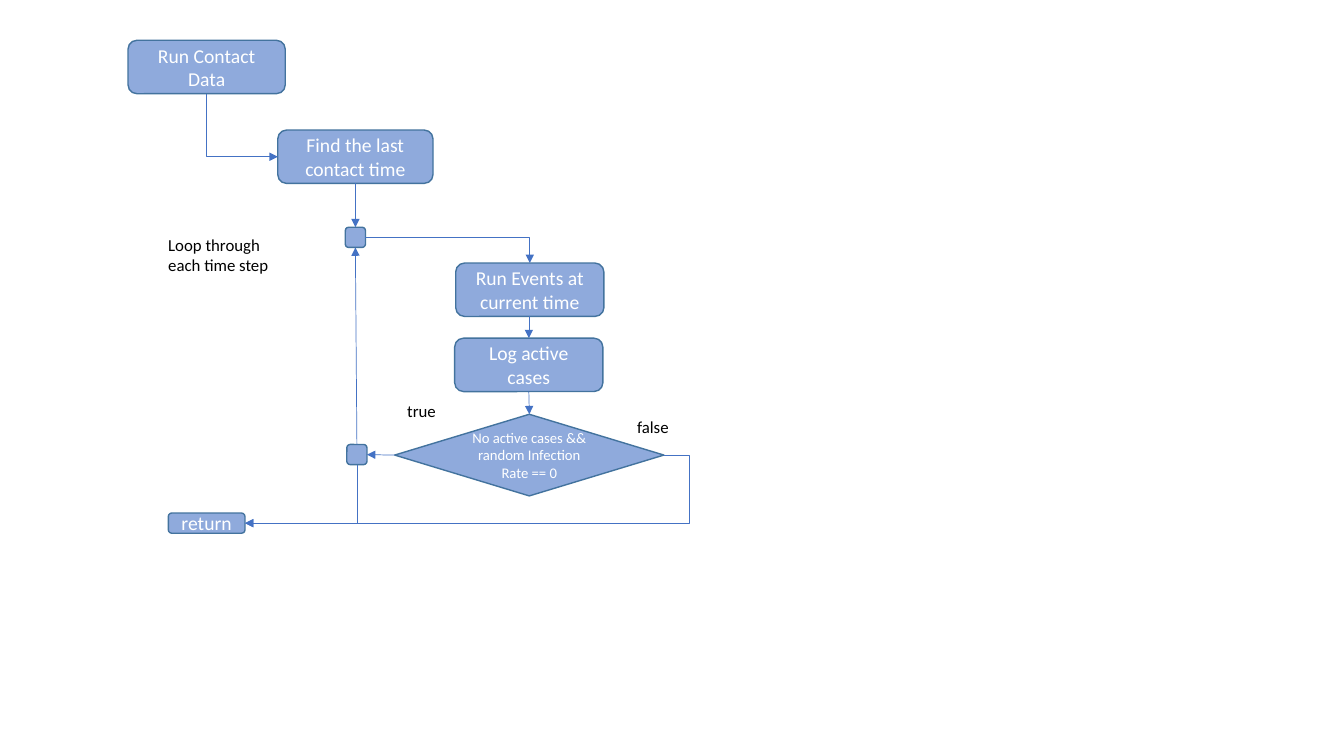
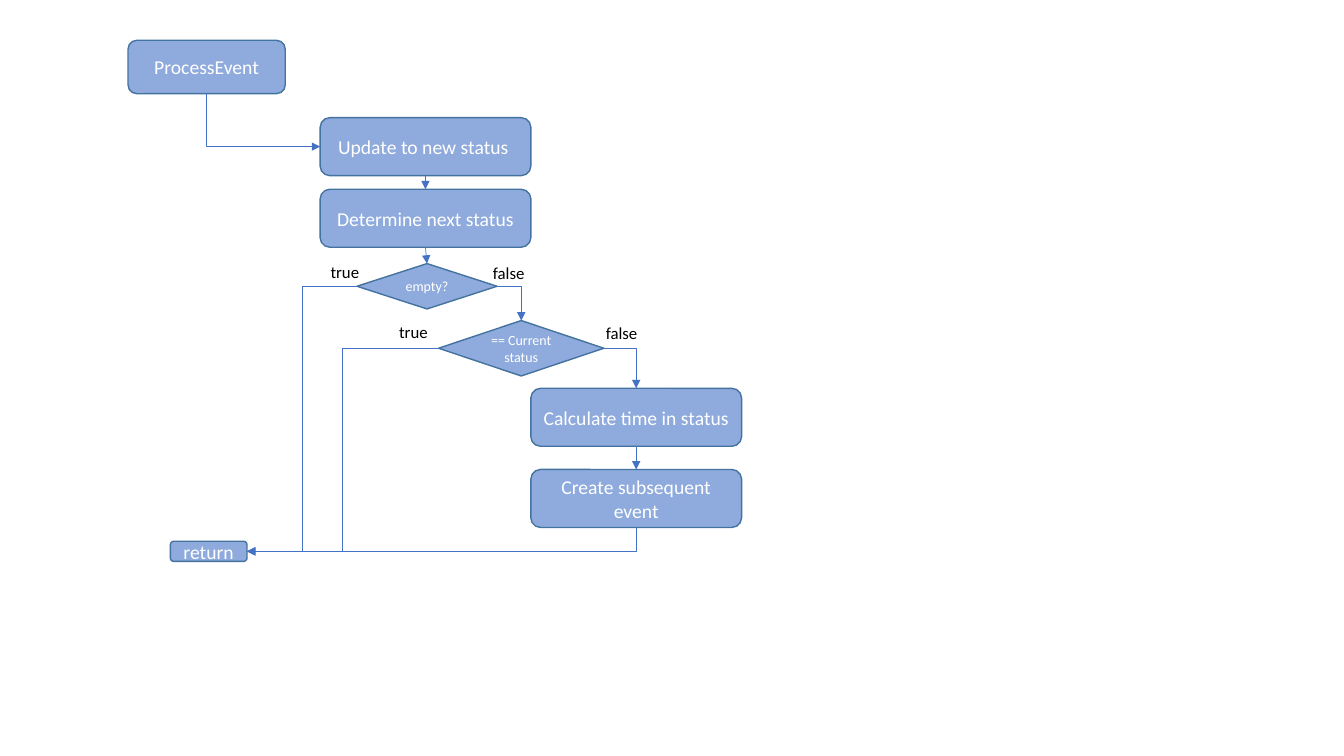
import lxml.etree
import pptx
import pptx.dml.color
import pptx.enum.shapes
import pptx.enum.text
import pptx.oxml.ns
import pptx.util

SLIDE_W, SLIDE_H = 13.33, 7.5
CELL = 0.1  # inches per grid column and row
FLOW_ORIGIN = (12.7, 4)  # column and row of the flow's top left corner
FONT = "Calibri"
FILL, OUTLINE, ARROW = "8FAADC", "43739E", "4472C4"
WHITE, BLACK = "FFFFFF", "000000"
SITES = "TLBR"  # connection sites in order: top, left, bottom, right

MSO_SHAPE = pptx.enum.shapes.MSO_SHAPE
BOX, DIAMOND = MSO_SHAPE.ROUNDED_RECTANGLE, MSO_SHAPE.DIAMOND
JUNCTION, RETURN = (2, 2), (7.6, 2)
TRUE, FALSE, LOOP = (4.9, 3), (5.2, 3), (12.1, 5)
START, STEP, STATUS = (15.6, 5.3), (14.7, 5.3), (20.9, 5.75)

# Nodes: preset, centre column, centre row, size in cells, text, points
# Links: node and site at each end, route, share of the width at the bend
# Labels: centre column, centre row, size in cells, paragraphs
CONTACT_FLOW = {
    "nodes": {
        "start": (BOX, 7.8, 2.65, START, "Run Contact Data", 14),
        "find": (BOX, 22.55, 11.55, (15.4, 5.3), "Find the last contact time", 14),
        "loop": (BOX, 22.55, 19.55, JUNCTION, "", 14),
        "run": (BOX, 39.85, 24.75, STEP, "Run Events at current time", 14),
        "log": (BOX, 39.75, 32.2, STEP, "Log active cases", 14),
        "test": (DIAMOND, 39.8, 41.15, (26.7, 8.1),
                 "No active cases && random Infection Rate == 0", 10.5),
        "repeat": (BOX, 22.7, 41.1, JUNCTION, "", 14),
        "return": (BOX, 7.8, 47.9, RETURN, "return", 14),
    },
    "links": [
        ("start", "B", "find", "L", "down-across", None),
        ("find", "B", "loop", "T", "straight", None),
        ("loop", "R", "run", "T", "across-down", None),
        ("run", "B", "log", "T", "down-across-down", None),
        ("log", "B", "test", "T", "straight", None),
        ("test", "L", "repeat", "R", "straight", None),
        ("repeat", "T", "loop", "B", "straight", None),
        ("repeat", "B", "return", "R", "down-across", None),
        ("test", "R", "return", "R", "across-down-across", -0.06),
    ],
    "labels": [
        (9.05, 21.3, LOOP, ["Loop through", "each time step"]),
        (29.15, 36.8, TRUE, ["true"]),
        (52.1, 38.4, FALSE, ["false"]),
    ],
}
EVENT_FLOW = {
    "nodes": {
        "start": (BOX, 7.8, 2.65, START, "ProcessEvent", 14),
        "update": (BOX, 29.5, 10.55, STATUS, "Update to new status ", 14),
        "next": (BOX, 29.5, 17.65, STATUS, "Determine next status", 14),
        "empty": (DIAMOND, 29.65, 24.4, (13.9, 4.5), "empty?", 10),
        "same": (DIAMOND, 39, 30.55, (16.4, 5.5), "== Current status", 10),
        "time": (BOX, 50.4, 37.4, STATUS, "Calculate time in status", 14),
        "create": (BOX, 50.4, 45.45, STATUS, "Create subsequent event", 14),
        "return": (BOX, 8, 50.7, RETURN, "return", 14),
    },
    "links": [
        ("start", "B", "update", "L", "down-across", None),
        ("update", "B", "next", "T", "straight", None),
        ("next", "B", "empty", "T", "straight", None),
        ("empty", "L", "return", "R", "across-down-across", 0.5),
        ("empty", "R", "same", "T", "across-down", None),
        ("same", "L", "return", "R", "across-down-across", 0.5),
        ("same", "R", "time", "T", "across-down", None),
        ("time", "B", "create", "T", "straight", None),
        ("create", "B", "return", "R", "down-across", None),
    ],
    "labels": [
        (21.55, 23, TRUE, ["true"]),
        (37.8, 23.1, FALSE, ["false"]),
        (28.35, 28.9, TRUE, ["true"]),
        (49, 29, FALSE, ["false"]),
    ],
}


def rgb(value):
    return pptx.dml.color.RGBColor.from_string(value)


def place(origin, col, row, size):
    """Return left, top, width and height of a box centred on a grid point."""
    w, h = size
    cells = (origin[0] + col - w / 2, origin[1] + row - h / 2, w, h)
    return [pptx.util.Inches(n * CELL) for n in cells]


def add_text(p, text, size, color):
    r = p.add_run()
    r.text = text
    r.font.name = FONT
    r.font.size = pptx.util.Pt(size)
    r.font.color.rgb = rgb(color)


def add_node(s, origin, preset, col, row, size, text, points):
    sp = s.shapes.add_shape(preset, *place(origin, col, row, size))
    sp.shadow.inherit = False
    sp.fill.solid()
    sp.fill.fore_color.rgb = rgb(FILL)
    sp.line.color.rgb = rgb(OUTLINE)
    sp.line.width = pptx.util.Pt(1)
    tf = sp.text_frame
    tf.word_wrap = True
    tf.vertical_anchor = pptx.enum.text.MSO_ANCHOR.MIDDLE
    p = tf.paragraphs[0]
    p.alignment = pptx.enum.text.PP_ALIGN.CENTER
    if text:
        add_text(p, text, points, WHITE)
    return sp


def add_label(s, origin, col, row, size, lines):
    tf = s.shapes.add_textbox(*place(origin, col, row, size)).text_frame
    tf.word_wrap = False
    tf.auto_size = pptx.enum.text.MSO_AUTO_SIZE.SHAPE_TO_FIT_TEXT
    for i, line in enumerate(lines):
        p = tf.add_paragraph() if i else tf.paragraphs[0]
        add_text(p, line, 12, BLACK)


def bend(c, route, adjust):
    """Give a connector its elbows, turning it when it leaves downwards."""
    geom = c._element.spPr.find(pptx.oxml.ns.qn("a:prstGeom"))
    geom.set("prst", f"bentConnector{route.count('-') + 1}")
    if adjust is not None:
        av = geom.find(pptx.oxml.ns.qn("a:avLst"))
        if av is None:
            av = lxml.etree.SubElement(geom, pptx.oxml.ns.qn("a:avLst"))
        lxml.etree.SubElement(av, pptx.oxml.ns.qn("a:gd"), name="adj1",
                              fmla=f"val {round(adjust * 100000)}")
    if route.startswith("down"):
        dx, dy = c.end_x - c.begin_x, c.end_y - c.begin_y
        mid_x, mid_y = (c.begin_x + c.end_x) // 2, (c.begin_y + c.end_y) // 2
        w, h = abs(dy), abs(dx)
        c.left, c.top, c.width, c.height = mid_x - w // 2, mid_y - h // 2, w, h
        xfrm = c._element.spPr.find(pptx.oxml.ns.qn("a:xfrm"))
        xfrm.set("rot", str((270 if dx > 0 else 90) * 60000))
        xfrm.set("flipH", "1" if dx > 0 else "0")
        xfrm.set("flipV", "0")


def add_link(s, nodes, start, start_site, end, end_site, route, adjust):
    kinds = pptx.enum.shapes.MSO_CONNECTOR
    kind = kinds.STRAIGHT if route == "straight" else kinds.ELBOW
    c = s.shapes.add_connector(kind, 0, 0, 0, 0)
    c.begin_connect(nodes[start], SITES.index(start_site))
    c.end_connect(nodes[end], SITES.index(end_site))
    if route != "straight":
        bend(c, route, adjust)
    c.line.color.rgb = rgb(ARROW)
    c.line.width = pptx.util.Pt(0.5)
    sp_pr = c._element.spPr
    ln = sp_pr.find(pptx.oxml.ns.qn("a:ln"))
    lxml.etree.SubElement(ln, pptx.oxml.ns.qn("a:tailEnd"), type="triangle")
    lxml.etree.SubElement(sp_pr, pptx.oxml.ns.qn("a:effectLst"))


def add_flow_slide(prs, flow, origin):
    s = prs.slides.add_slide(prs.slide_layouts[6])
    nodes = {name: add_node(s, origin, *node)
             for name, node in flow["nodes"].items()}
    for link in flow["links"]:
        add_link(s, nodes, *link)
    for label in flow["labels"]:
        add_label(s, origin, *label)


def main():
    prs = pptx.Presentation()
    prs.slide_width = pptx.util.Inches(SLIDE_W)
    prs.slide_height = pptx.util.Inches(SLIDE_H)
    for flow in (CONTACT_FLOW, EVENT_FLOW):
        add_flow_slide(prs, flow, FLOW_ORIGIN)
    prs.save("out.pptx")


if __name__ == "__main__":
    main()
